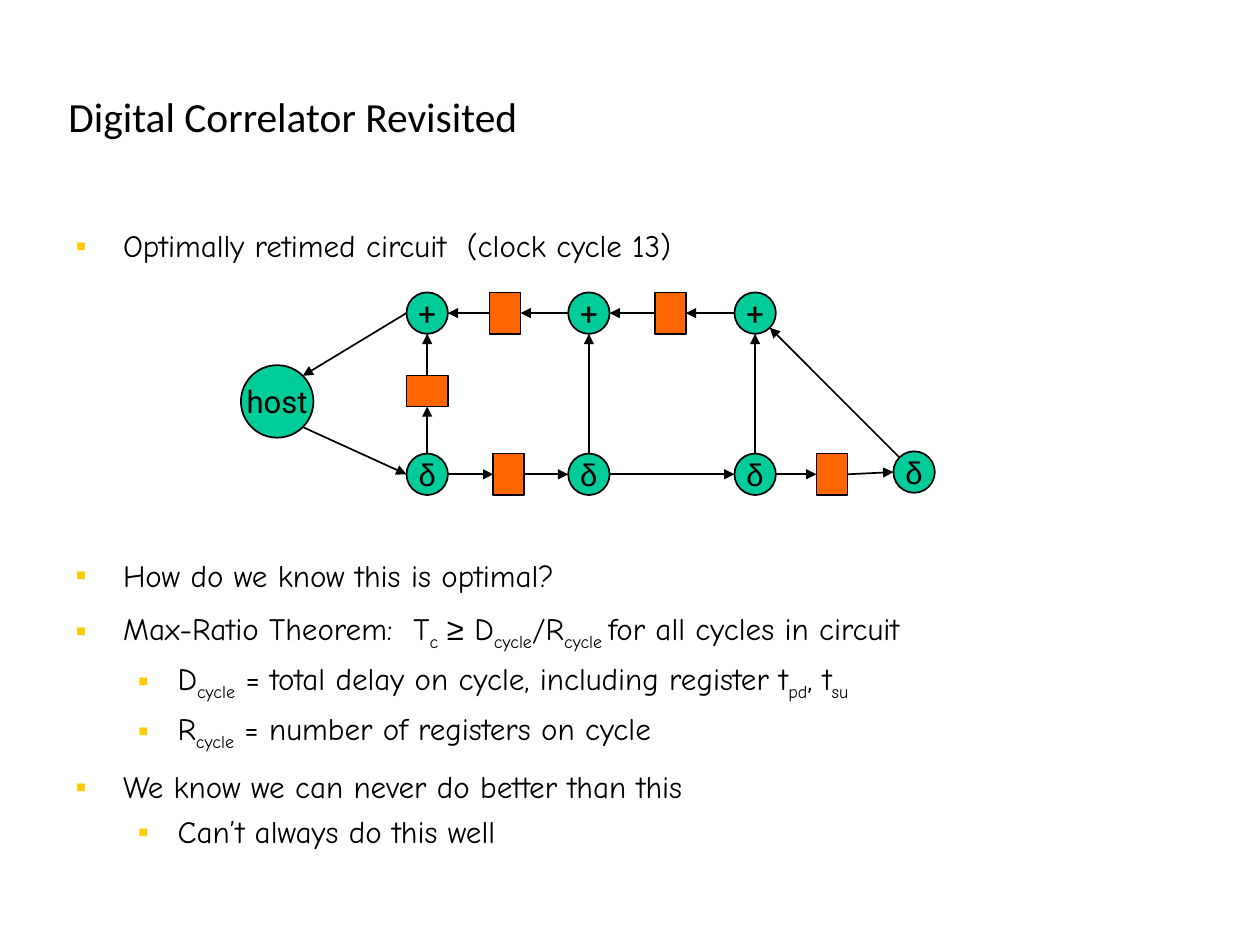
from math import sqrt
from lxml import etree
from pptx import Presentation
from pptx.dml.color import RGBColor
from pptx.enum.shapes import MSO_CONNECTOR, MSO_SHAPE
from pptx.enum.text import MSO_ANCHOR, PP_ALIGN
from pptx.oxml.ns import qn
from pptx.util import Pt

OVAL, RECTANGLE = MSO_SHAPE.OVAL, MSO_SHAPE.RECTANGLE
STRAIGHT = MSO_CONNECTOR.STRAIGHT
MIDDLE, BOTTOM = MSO_ANCHOR.MIDDLE, MSO_ANCHOR.BOTTOM
CENTER = PP_ALIGN.CENTER

BLACK, GREEN, ORANGE, YELLOW = "000000", "00CC99", "FF6600", "FFCC00"
HAND, SYMBOL, LABEL, HEADING = "Comic Neue", "Arial", "Roboto", "Calibri"

SLIDE_SIZE = (730, 547.5)
TITLE = "Digital Correlator Revisited"
TITLE_BOX = (32.6, 18, 620.6, 67)
BODY_BOX = (36.8, 127.8, 653, 378.7)

# Level, space before, spans; "_" opens a subscript span.
BULLETS = [
    (0, 0, ["Optimally retimed circuit  (clock cycle 13)"]),
    (0, 169.5, ["How do we know this is optimal?"]),
    (0, 9, ["Max-Ratio Theorem:  T", "_c", " ≥", " D", "_cycle", "/R", "_cycle ",
            "for all cycles in circuit"]),
    (1, 4.5, ["D", "_cycle", " = total delay on cycle, including register t",
              "_pd", ", t", "_su"]),
    (1, 4.5, ["R", "_cycle", " = number of registers on cycle"]),
    (0, 9, ["We know we can never do better than this"]),
    (1, 4.5, ["Can’t always do this well"]),
]
INDENTS = [(27.4, -27.4), (59, -23)]  # left margin, first line

COLUMNS = (247.5, 341.2, 437.5, 529.6)
ADDER_ROW, DELAY_ROW = 181.4, 274.8
NODE, HOST = 24, 42
REGISTER = (18, 24)

# Name: label, font, diameter, centre
NODES = {"host": ("host", LABEL, HOST, (160.6, 232.6))}
for number, column in enumerate(COLUMNS[:3], 1):
    NODES[f"add{number}"] = ("+", LABEL, NODE, (column, ADDER_ROW))
    NODES[f"delay{number}"] = ("δ", SYMBOL, NODE, (column, DELAY_ROW))
NODES["delay4"] = ("δ", SYMBOL, NODE, (COLUMNS[3], 273.5))

# Name: size, centre
REGISTERS = {
    "top1": (REGISTER, (292.6, ADDER_ROW)),
    "top2": (REGISTER, (388.4, ADDER_ROW)),
    "left": (REGISTER[::-1], (COLUMNS[0], 226.5)),
    "bottom1": (REGISTER, (294.8, DELAY_ROW)),
    "bottom3": (REGISTER, (482, DELAY_ROW)),
}

WIRES = [
    ("host", "SE", "delay1", "W"), ("add1", "W", "host", "NE"),
    ("delay1", "E", "bottom1", "W"), ("bottom1", "E", "delay2", "W"),
    ("delay2", "E", "delay3", "W"), ("delay3", "E", "bottom3", "W"),
    ("bottom3", "E", "delay4", "W"), ("delay4", "NW", "add3", "SE"),
    ("add3", "W", "top2", "E"), ("top2", "W", "add2", "E"),
    ("add2", "W", "top1", "E"), ("top1", "W", "add1", "E"),
    ("delay1", "N", "left", "S"), ("left", "N", "add1", "S"),
    ("delay2", "N", "add2", "S"), ("delay3", "N", "add3", "S"),
]
SITES = "NWSE"  # connection sites of a rectangle, in order


def color(value):
    return RGBColor.from_string(value)


def set_font(span, name, size=18):
    span.font.name, span.font.size = name, Pt(size)
    span.font.color.rgb = color(BLACK)


def add_box(page, bounds):
    frame = page.shapes.add_textbox(*map(Pt, bounds)).text_frame
    frame.word_wrap = True
    return frame


def add_bullet(para, level, space, spans):
    para.level = level
    para.space_before = Pt(space)
    properties = para._p.get_or_add_pPr()
    margin, first_line = INDENTS[level]
    properties.set("marL", str(Pt(margin)))
    properties.set("indent", str(Pt(first_line)))
    bullet_color = etree.SubElement(properties, qn("a:buClr"))
    etree.SubElement(bullet_color, qn("a:srgbClr"), val=YELLOW)
    etree.SubElement(properties, qn("a:buFont"), typeface=SYMBOL)
    etree.SubElement(properties, qn("a:buChar"), char="▪")
    for text in spans:
        span = para.add_run()
        span.text = text.removeprefix("_")
        set_font(span, SYMBOL if "≥" in text else HAND)
        if text.startswith("_"):
            span._r.get_or_add_rPr().set("baseline", "-25000")


def add_part(page, kind, size, center, fill):
    """Draw a circuit part around its centre."""
    left, top = (middle - length / 2 for middle, length in zip(center, size))
    part = page.shapes.add_shape(kind, Pt(left), Pt(top), *map(Pt, size))
    part.shadow.inherit = False
    part.fill.solid()
    part.fill.fore_color.rgb = color(fill)
    part.line.color.rgb = color(BLACK)
    part.line.width = Pt(1)
    return part


def edge_point(part, side):
    """Return the point of a part's outline in a compass direction."""
    across = ("E" in side) - ("W" in side)
    down = ("S" in side) - ("N" in side)
    reach = 2 * sqrt(len(side))
    return (round(part.left + part.width / 2 + across * part.width / reach),
            round(part.top + part.height / 2 + down * part.height / reach))


def add_wire(page, source, source_side, target, target_side):
    wire = page.shapes.add_connector(
        STRAIGHT, *edge_point(source, source_side), *edge_point(target, target_side))
    for part, side, connect in ((source, source_side, wire.begin_connect),
                                (target, target_side, wire.end_connect)):
        if part.auto_shape_type == RECTANGLE:
            connect(part, SITES.index(side))
    wire.line.color.rgb = color(BLACK)
    wire.line.width = Pt(1)
    etree.SubElement(wire.line._get_or_add_ln(), qn("a:tailEnd"), type="triangle")
    etree.SubElement(wire._element.spPr, qn("a:effectLst"))


def main():
    deck = Presentation()
    deck.slide_width, deck.slide_height = map(Pt, SLIDE_SIZE)
    page = deck.slides.add_slide(deck.slide_layouts[6])

    title = add_box(page, TITLE_BOX)
    title.vertical_anchor = BOTTOM
    title.text = TITLE
    set_font(title.paragraphs[0].runs[0], HEADING, 24)

    body = add_box(page, BODY_BOX)
    for index, bullet in enumerate(BULLETS):
        para = body.add_paragraph() if index else body.paragraphs[0]
        add_bullet(para, *bullet)

    parts = {}
    for name, (label, font, diameter, center) in NODES.items():
        parts[name] = add_part(page, OVAL, (diameter, diameter), center, GREEN)
        frame = parts[name].text_frame
        frame.word_wrap = False
        frame.vertical_anchor = MIDDLE
        frame.text = label
        frame.paragraphs[0].alignment = CENTER
        set_font(frame.paragraphs[0].runs[0], font)
    for name, (size, center) in REGISTERS.items():
        parts[name] = add_part(page, RECTANGLE, size, center, ORANGE)

    for source, source_side, target, target_side in WIRES:
        add_wire(page, parts[source], source_side, parts[target], target_side)

    deck.save("out.pptx")


if __name__ == "__main__":
    main()
